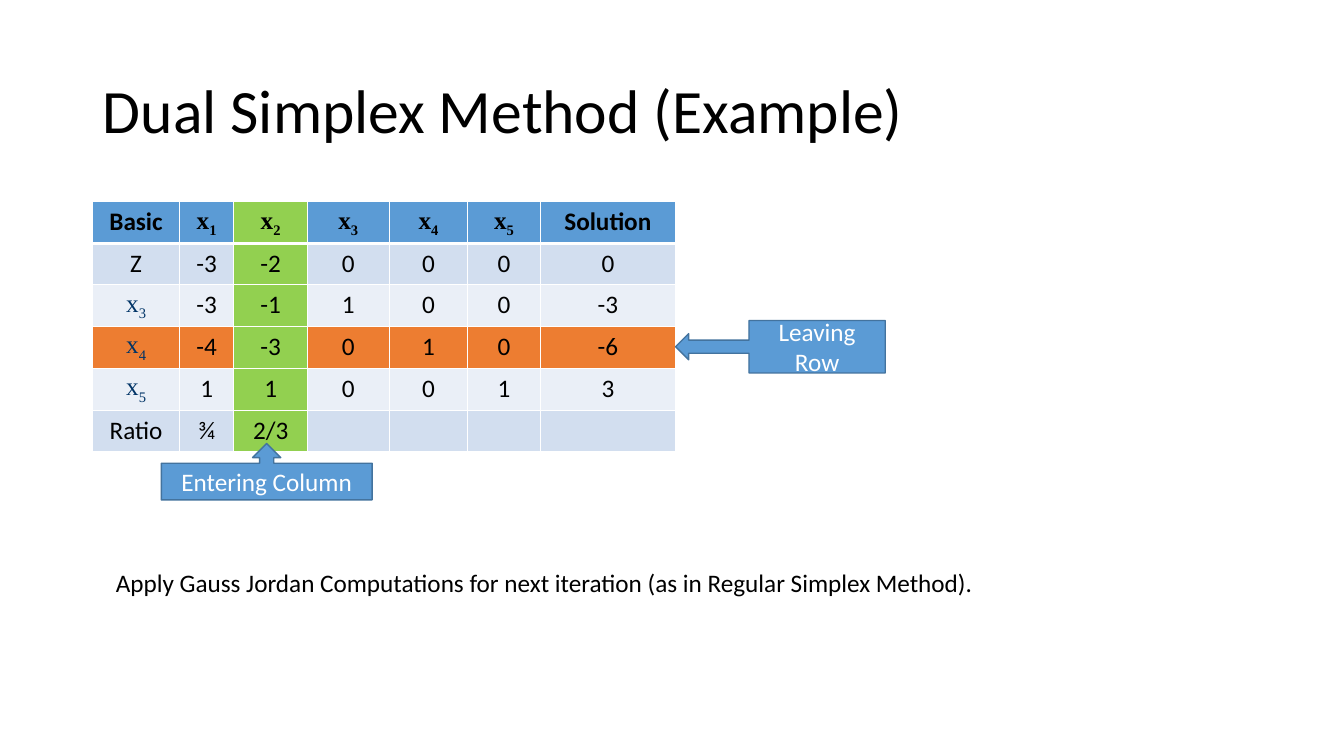
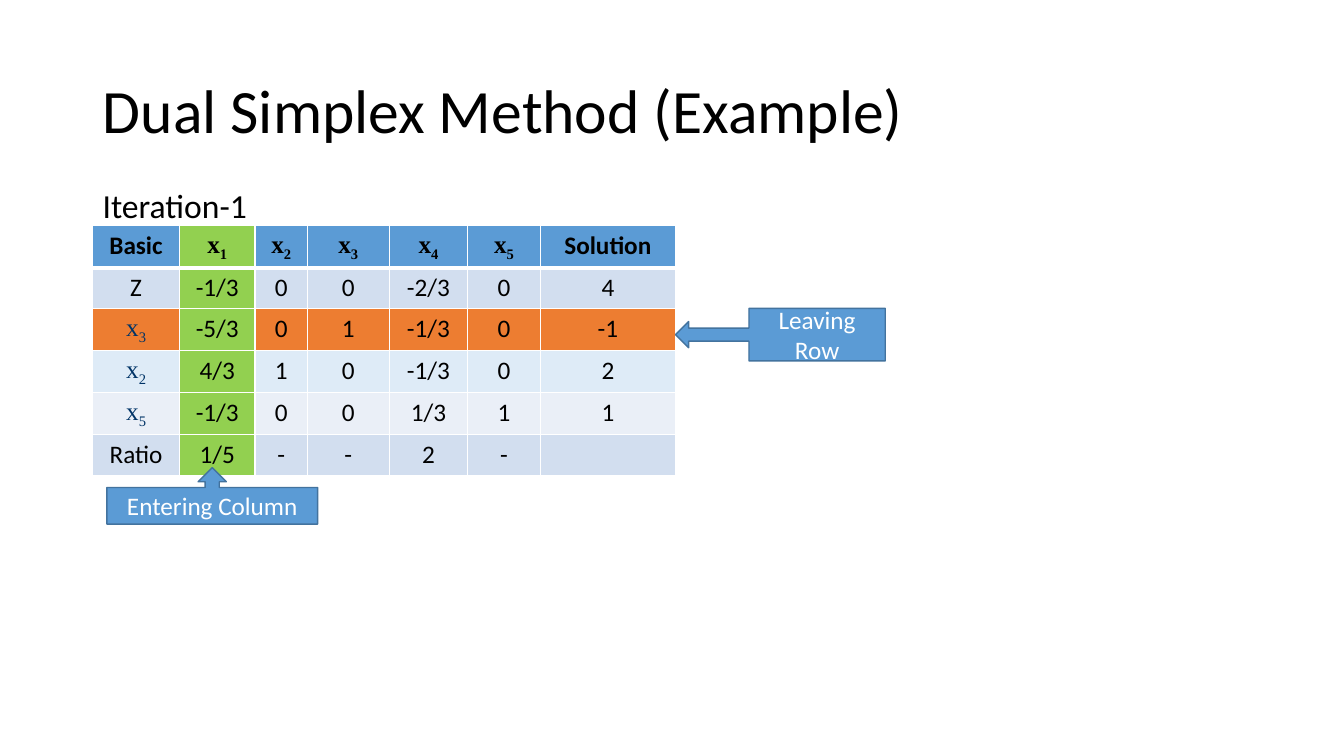
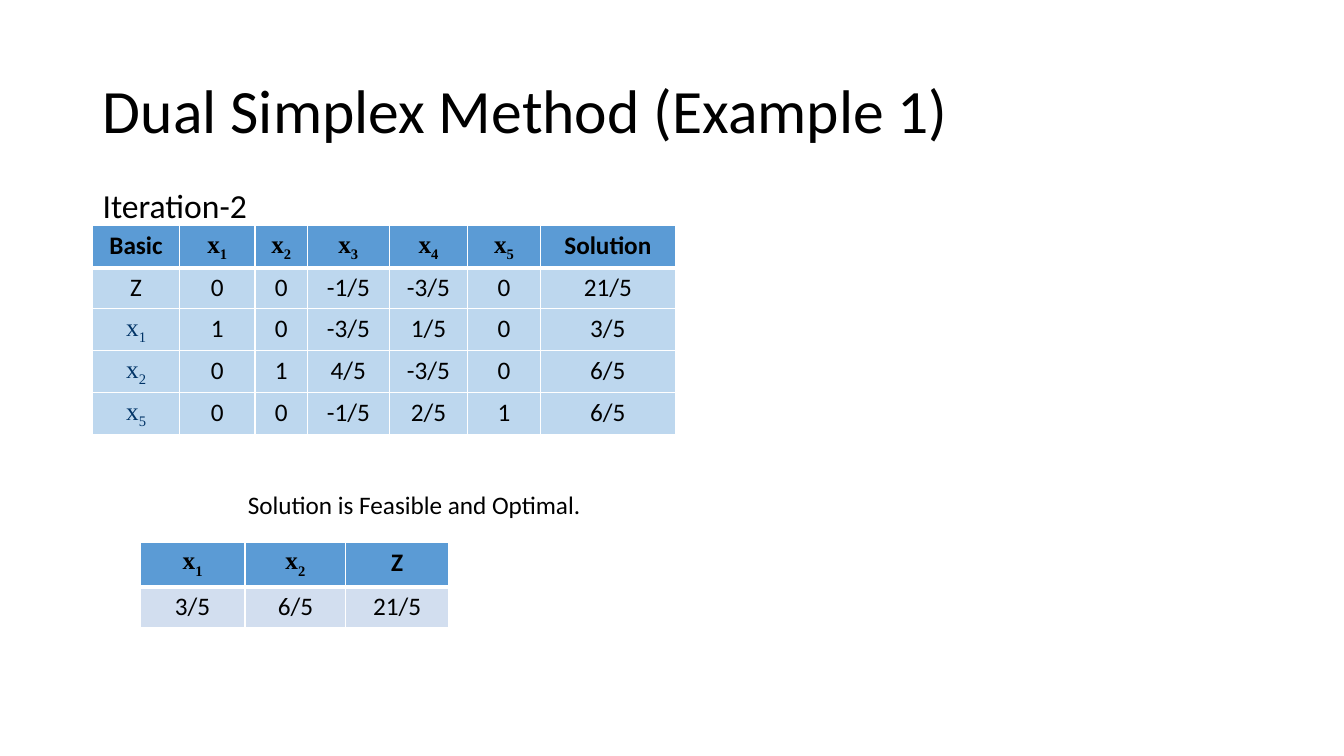
import pptx
import pptx.util
import pptx.dml.color
import pptx.enum.shapes
import pptx.enum.text
import pptx.oxml.ns
import lxml.etree

Inches = pptx.util.Inches
Pt = pptx.util.Pt
RGBColor = pptx.dml.color.RGBColor
MSO_SHAPE = pptx.enum.shapes.MSO_SHAPE
PP_ALIGN = pptx.enum.text.PP_ALIGN
qn = pptx.oxml.ns.qn

BLACK = RGBColor(0x00, 0x00, 0x00)
WHITE = RGBColor(0xFF, 0xFF, 0xFF)
NAVY = RGBColor(0x00, 0x33, 0x66)
BLUE = RGBColor(0x5B, 0x9B, 0xD5)
OUTLINE = RGBColor(0x43, 0x73, 0x9E)
GREEN = RGBColor(0x92, 0xD0, 0x50)
ORANGE = RGBColor(0xED, 0x7D, 0x31)
BAND_DARK = RGBColor(0xD2, 0xDE, 0xEF)
BAND_LIGHT = RGBColor(0xEA, 0xEF, 0xF7)
BAND_PALE = RGBColor(0xDE, 0xEB, 0xF7)
BAND_FINAL = RGBColor(0xBD, 0xD7, 0xEE)

BODY_FONT = "Calibri"
SYMBOL_FONT = "Times New Roman"
LEFT = 0.92
ITERATION_TOP = 2.24
ROW_HEIGHT = 0.39
TABLEAU_HEIGHT = 2.4
HEADINGS = ["Basic", "x1", "x2", "x3", "x4", "x5", "Solution"]
START_COLUMNS = [0.86, 0.54, 0.73, 0.81, 0.78, 0.72, 1.34]
ITERATION_COLUMNS = [0.86, 0.75, 0.52, 0.81, 0.78, 0.72, 1.34]
TABLEAU_RIGHT = LEFT + sum(START_COLUMNS)


def add_run(paragraph, text, size, color=BLACK, font=BODY_FONT, bold=False):
    run = paragraph.add_run()
    run.text = text
    run.font.size = Pt(size)
    run.font.name = font
    run.font.bold = bold
    run.font.color.rgb = color
    return run


def add_title(slide, text):
    title = slide.shapes.title
    title.left, title.top = Inches(LEFT), Inches(0.4)
    title.width, title.height = Inches(11.5), Inches(1.45)
    title.text_frame.vertical_anchor = pptx.enum.text.MSO_ANCHOR.MIDDLE
    paragraph = title.text_frame.paragraphs[0]
    paragraph.alignment = PP_ALIGN.LEFT
    paragraph.line_spacing = 0.9
    add_run(paragraph, text, 44)


def add_note(slide, text, left, top, width, height, size=18):
    note = slide.shapes.add_textbox(Inches(left), Inches(top), Inches(width), Inches(height))
    note.text_frame.word_wrap = True
    note.text_frame.auto_size = pptx.enum.text.MSO_AUTO_SIZE.SHAPE_TO_FIT_TEXT
    add_run(note.text_frame.paragraphs[0], text, size)


def add_callout(slide, preset, text, left, top, width, height):
    callout = slide.shapes.add_shape(preset, Inches(left), Inches(top), Inches(width), Inches(height))
    callout.shadow.inherit = False
    callout.fill.solid()
    callout.fill.fore_color.rgb = BLUE
    callout.line.color.rgb = OUTLINE
    callout.line.width = Pt(1)
    callout.text_frame.word_wrap = True
    callout.text_frame.vertical_anchor = pptx.enum.text.MSO_ANCHOR.MIDDLE
    paragraph = callout.text_frame.paragraphs[0]
    paragraph.alignment = PP_ALIGN.CENTER
    add_run(paragraph, text, 18, WHITE)


def add_leaving_row(slide, top):
    add_callout(slide, MSO_SHAPE.LEFT_ARROW_CALLOUT, "Leaving Row", TABLEAU_RIGHT, top, 2.08, 0.52)


def add_entering_column(slide, left, top):
    add_callout(slide, MSO_SHAPE.UP_ARROW_CALLOUT, "Entering Column", left, top, 2.09, 0.56)


def set_border(cell, side, width):
    properties = cell._tc.get_or_add_tcPr()
    border = lxml.etree.SubElement(properties, qn(f"a:{side}"), w=str(Pt(width)))
    fill = lxml.etree.SubElement(border, qn("a:solidFill"))
    lxml.etree.SubElement(fill, qn("a:srgbClr"), val=str(WHITE))


def fill_cell(cell, text, fill, is_heading, above_is_heading):
    set_border(cell, "lnL", 1)
    set_border(cell, "lnR", 1)
    set_border(cell, "lnT", 3 if above_is_heading else 1)
    set_border(cell, "lnB", 3 if is_heading else 1)
    cell.fill.solid()
    cell.fill.fore_color.rgb = fill
    paragraph = cell.text_frame.paragraphs[0]
    paragraph.alignment = PP_ALIGN.CENTER
    if text.startswith("x"):
        color = BLACK if is_heading else NAVY
        add_run(paragraph, "x", 18, color, SYMBOL_FONT, is_heading)
        index = add_run(paragraph, text[1:], 18, color, SYMBOL_FONT, is_heading)
        index.font._element.set("baseline", "-25000")
    elif text:
        add_run(paragraph, text, 18, bold=is_heading)


def add_tableau(slide, left, top, columns, headings, rows, row_height=ROW_HEIGHT, entering=None):
    lines = [(BLUE, headings)] + rows
    tableau = slide.shapes.add_table(
        len(lines), len(columns), Inches(left), Inches(top),
        Inches(sum(columns)), Inches(row_height * len(lines))).table
    tableau.horz_banding = False
    for column, width in zip(tableau.columns, columns):
        column.width = Inches(width)
    for r, (band, values) in enumerate(lines):
        tableau.rows[r].height = Inches(row_height)
        for c, value in enumerate(values):
            fill = GREEN if c == entering else band
            fill_cell(tableau.cell(r, c), value, fill, r == 0, r == 1)


def build_start(slide):
    top = 2
    add_title(slide, "Dual Simplex Method (Example)")
    add_tableau(slide, LEFT, top, START_COLUMNS, HEADINGS, [
        (BAND_DARK, ["Z", "-3", "-2", "0", "0", "0", "0"]),
        (BAND_LIGHT, ["x3", "-3", "-1", "1", "0", "0", "-3"]),
        (ORANGE, ["x4", "-4", "-3", "0", "1", "0", "-6"]),
        (BAND_LIGHT, ["x5", "1", "1", "0", "0", "1", "3"]),
        (BAND_DARK, ["Ratio", "¾", "2/3", "", "", "", ""]),
    ], entering=2)
    add_leaving_row(slide, top + 1.18)
    add_entering_column(slide, 1.6, top + TABLEAU_HEIGHT)
    add_note(slide, "Apply Gauss Jordan Computations for next iteration (as in Regular Simplex Method).",
             1.05, 5.58, 9.32, 0.4)


def add_iteration(slide, title, label, rows, entering=None):
    add_title(slide, title)
    add_tableau(slide, LEFT, ITERATION_TOP, ITERATION_COLUMNS, HEADINGS, rows, entering=entering)
    add_note(slide, label, LEFT, 1.79, 2.34, 0.5, 24)


def build_first_iteration(slide):
    add_iteration(slide, "Dual Simplex Method (Example)", "Iteration-1", [
        (BAND_DARK, ["Z", "-1/3", "0", "0", "-2/3", "0", "4"]),
        (ORANGE, ["x3", "-5/3", "0", "1", "-1/3", "0", "-1"]),
        (BAND_PALE, ["x2", "4/3", "1", "0", "-1/3", "0", "2"]),
        (BAND_LIGHT, ["x5", "-1/3", "0", "0", "1/3", "1", "1"]),
        (BAND_DARK, ["Ratio", "1/5", "-", "-", "2", "-", ""]),
    ], entering=1)
    add_leaving_row(slide, ITERATION_TOP + 0.82)
    add_entering_column(slide, 1.06, ITERATION_TOP + TABLEAU_HEIGHT)


def build_second_iteration(slide):
    add_iteration(slide, "Dual Simplex Method (Example 1)", "Iteration-2", [
        (BAND_FINAL, ["Z", "0", "0", "-1/5", "-3/5", "0", "21/5"]),
        (BAND_FINAL, ["x1", "1", "0", "-3/5", "1/5", "0", "3/5"]),
        (BAND_FINAL, ["x2", "0", "1", "4/5", "-3/5", "0", "6/5"]),
        (BAND_FINAL, ["x5", "0", "0", "-1/5", "2/5", "1", "6/5"]),
    ])
    add_note(slide, "Solution is Feasible and Optimal.", 2.36, 4.81, 4.72, 0.4)
    add_tableau(slide, 1.39, 5.38, [1.04, 1, 1.02], ["x1", "x2", "Z"],
                [(BAND_DARK, ["3/5", "6/5", "21/5"])], row_height=0.41)


def main():
    deck = pptx.Presentation()
    deck.slide_width, deck.slide_height = Inches(13.33), Inches(7.5)
    title_only = deck.slide_layouts[5]
    for build in (build_start, build_first_iteration, build_second_iteration):
        build(deck.slides.add_slide(title_only))
    deck.save("out.pptx")


if __name__ == "__main__":
    main()
